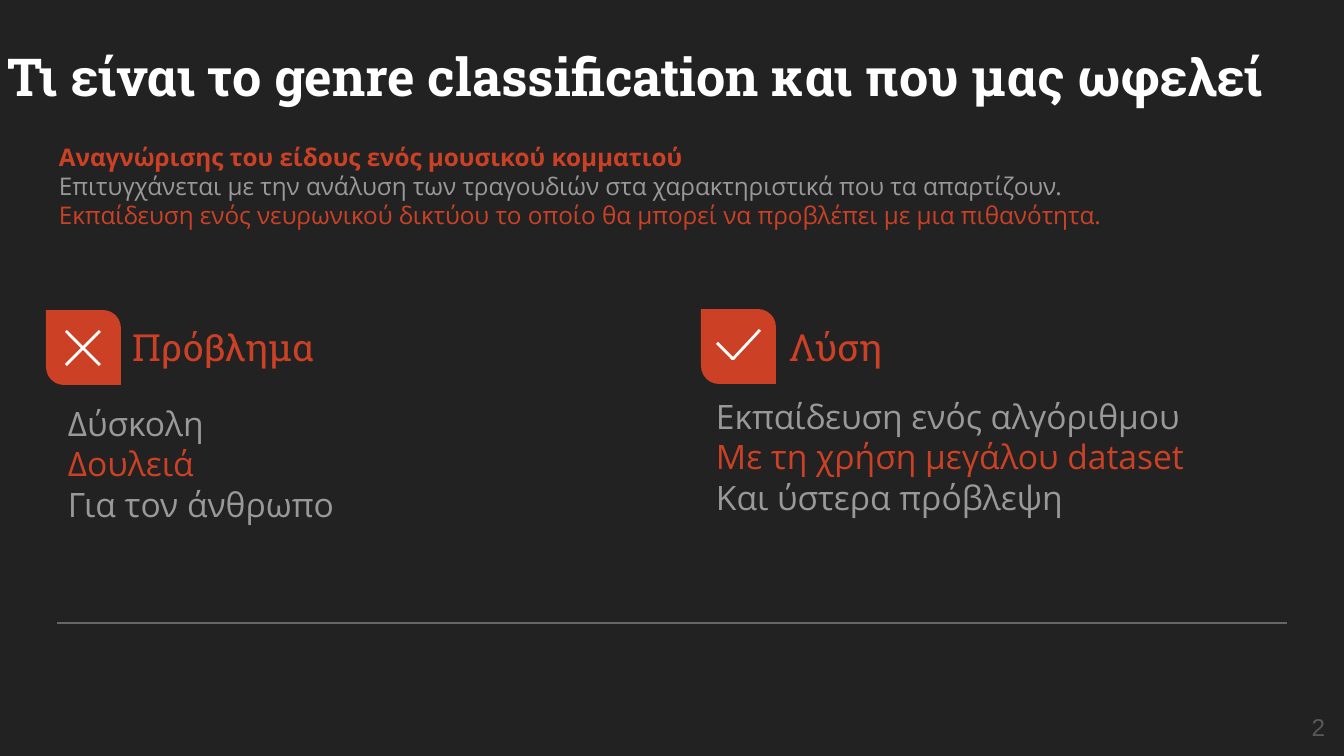
from lxml import etree
from pptx import Presentation
from pptx import util as u
from pptx.dml.color import RGBColor
from pptx.enum import shapes, text
from pptx.oxml.ns import qn

PX = 914400 / 134.4
COLORS = {"back": "222222", "red": "CC4125", "grey": "999999",
          "white": "FFFFFF", "rule": "666666", "number": "595959"}
SLAB, SANS = "Roboto Slab", "Open Sans"
INSET = 13

# Content: boxes are left, top, width, height in px
TITLE = "Τι είναι το genre classification και που μας ωφελεί"
INTRO = [
    ("Αναγνώρισης του είδους ενός μουσικού κομματιού", "red", True),
    ("Επιτυγχάνεται με την ανάλυση των τραγουδιών στα χαρακτηριστικά που τα απαρτίζουν.", "grey", False),
    ("Εκπαίδευση ενός νευρωνικού δικτύου το οποίο θα μπορεί να προβλέπει με μια πιθανότητα.", "red", False),
]
CROSS = [(83, 346), (99, 330), (101, 332), (85, 348), (101, 364), (99, 366),
         (83, 350), (67, 366), (65, 364), (81, 348), (65, 332), (67, 330)]
CHECK = [(759, 329), (761, 331), (734, 360), (732, 360), (716, 344), (718, 342), (733, 357)]
COLUMNS = [
    {"heading": "Πρόβλημα", "heading_box": (120, 323, 521, 48), "badge": (46, 310),
     "icon": CROSS, "body_box": (46, 390, 597, 211), "indent": 9,
     "lines": ["Δύσκολη", "Δουλειά", "Για τον άνθρωπο"]},
    {"heading": "Λύση", "heading_box": (777, 323, 521, 48), "badge": (701, 309),
     "icon": CHECK, "body_box": (703, 383, 610, 211), "indent": 0,
     "lines": ["Εκπαίδευση ενός αλγόριθμου", "Με τη χρήση μεγάλου dataset", "Και ύστερα πρόβλεψη"]},
]
LINE_COLORS = ["grey", "red", "grey"]
BADGE_SIZE = 75


def px(n):
    return u.Emu(round(n * PX))


def rgb(name):
    return RGBColor.from_string(COLORS[name])


def add_text(s, box, lines, size, font, middle=False, indent=0, align=None):
    tf = s.shapes.add_textbox(*map(px, box)).text_frame
    tf.word_wrap = True
    tf.margin_left = px(INSET + indent)
    tf.margin_right = tf.margin_top = tf.margin_bottom = px(INSET)
    tf.vertical_anchor = text.MSO_ANCHOR.MIDDLE if middle else text.MSO_ANCHOR.TOP
    for i, (line, color, bold) in enumerate(lines):
        p = tf.add_paragraph() if i else tf.paragraphs[0]
        p.text = line
        p.alignment = align
        p.font.size, p.font.name, p.font.bold = u.Pt(size), font, bold
        p.font.color.rgb = rgb(color)


def paint(sp, color):
    sp.shadow.inherit = False
    sp.fill.solid()
    sp.fill.fore_color.rgb = rgb(color)
    sp.line.fill.background()


def add_badge(s, left, top, icon):
    sp = s.shapes.add_shape(shapes.MSO_SHAPE.ROUND_2_DIAG_RECTANGLE,
                            *map(px, (left, top, BADGE_SIZE, BADGE_SIZE)))
    sp.adjustments[0], sp.adjustments[1] = 0, 0.24
    paint(sp, "red")
    outline = s.shapes.build_freeform(*icon[0], scale=PX)
    outline.add_line_segments(icon[1:], close=True)
    paint(outline.convert_to_shape(), "white")


prs = Presentation()
prs.slide_width, prs.slide_height = px(1344), px(756)
s = prs.slides.add_slide(prs.slide_layouts[6])
s.background.fill.solid()
s.background.fill.fore_color.rgb = rgb("back")

# Title and introduction
add_text(s, (-5, 31, 1293, 69), [(TITLE, "white", True)], 28, SLAB)
add_text(s, (46, 129, 1253, 128), INTRO, 13, SANS)

# Problem and solution columns
for col in COLUMNS:
    add_text(s, col["heading_box"], [(col["heading"], "red", False)], 20, SLAB, middle=True)
    body = [(line, color, False) for line, color in zip(col["lines"], LINE_COLORS)]
    add_text(s, col["body_box"], body, 18, SANS, indent=col["indent"])
    add_badge(s, *col["badge"], col["icon"])

# Bottom rule
rule = s.shapes.add_connector(shapes.MSO_CONNECTOR.STRAIGHT, *map(px, (57, 623, 1287, 623)))
rule.line.color.rgb = rgb("rule")
rule.line.width = u.Pt(0.75)
etree.SubElement(rule._element.spPr, qn("a:effectLst"))

# Slide number
add_text(s, (1258, 698, 80, 58), [("2", "number", False)], 13, "Arial",
         middle=True, align=text.PP_ALIGN.RIGHT)

prs.save("out.pptx")
